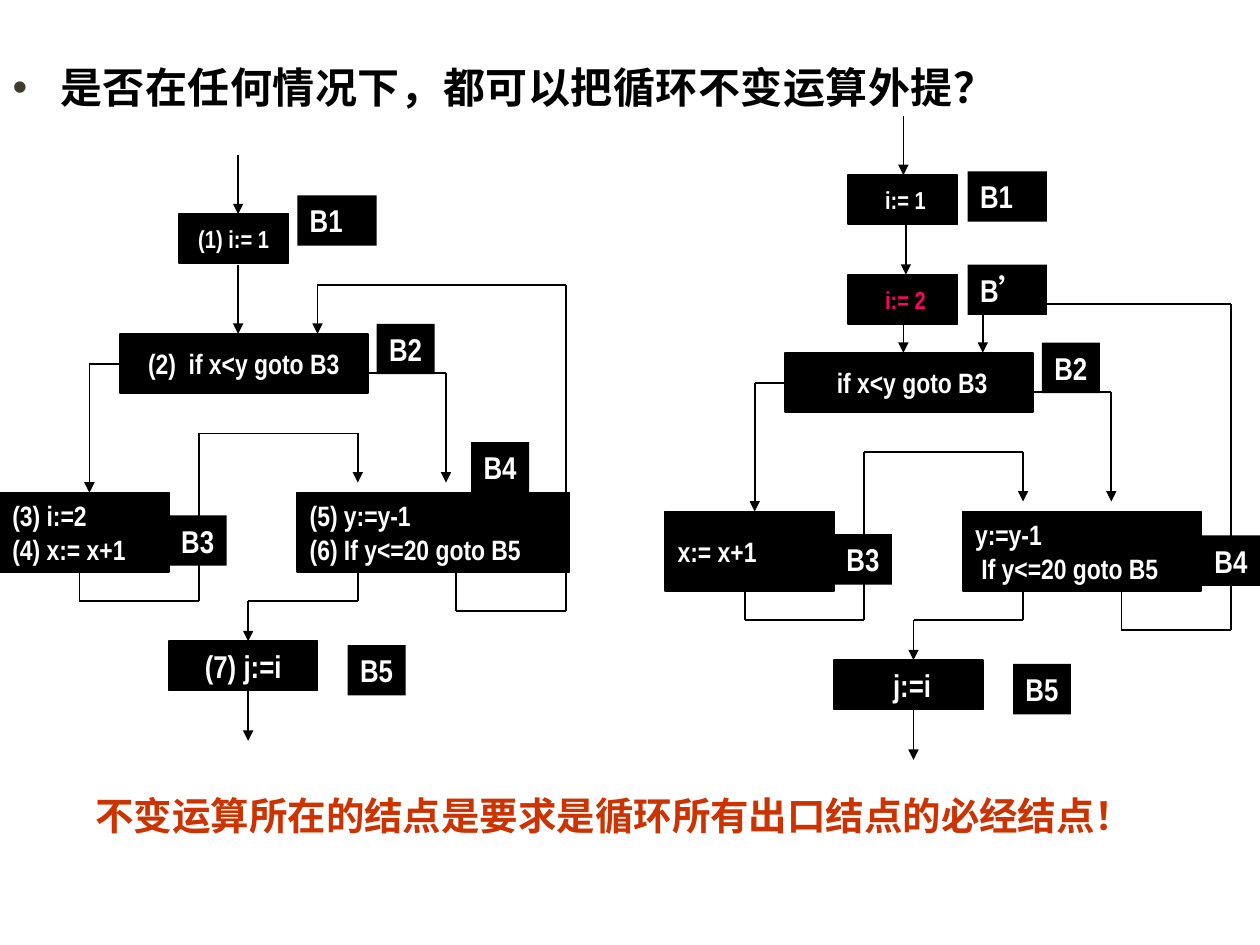
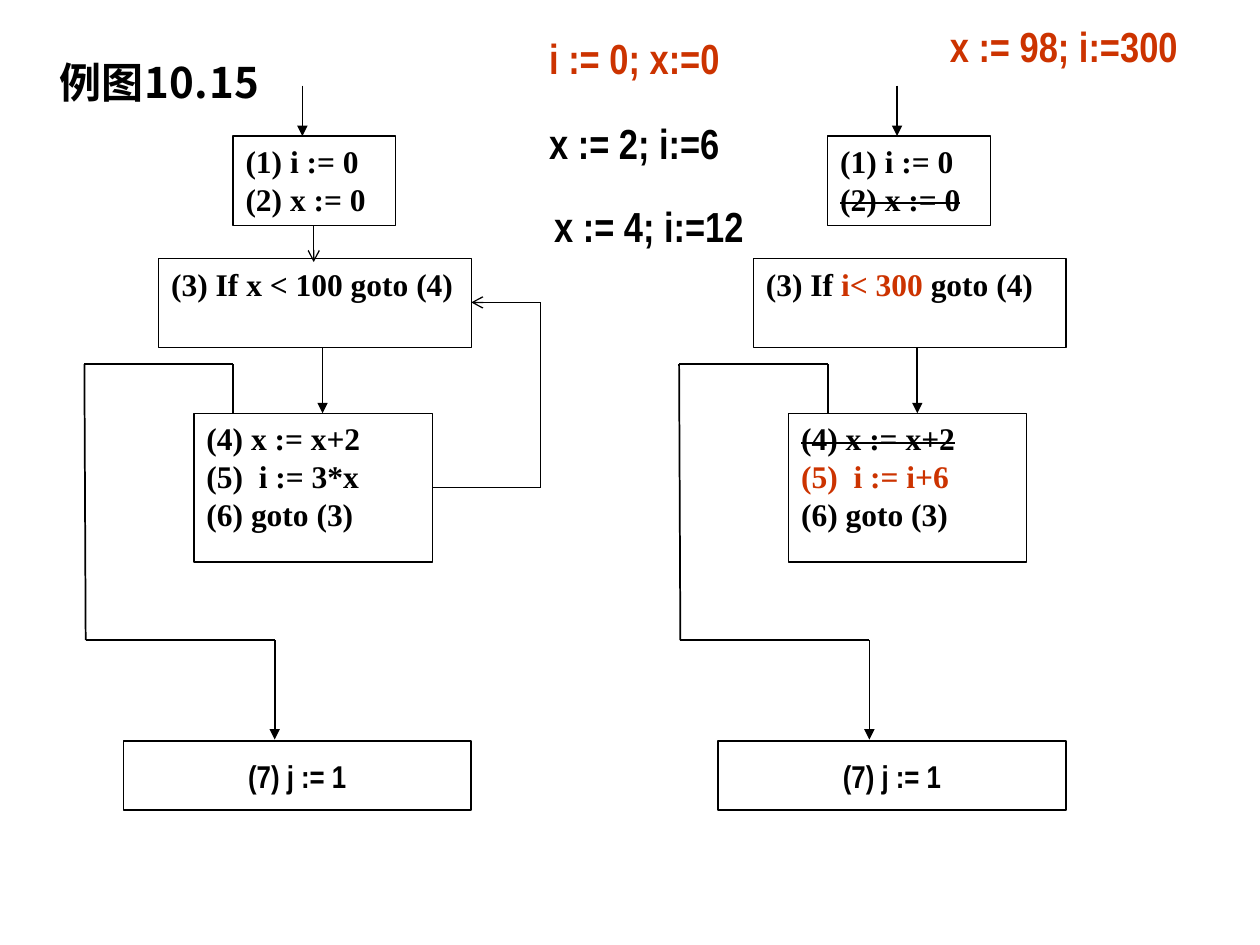
from dataclasses import dataclass
from itertools import pairwise
from typing import Optional

from lxml.etree import SubElement
from pptx import Presentation
from pptx.dml.color import RGBColor
from pptx.enum.shapes import MSO_CONNECTOR, MSO_SHAPE
from pptx.enum.text import MSO_ANCHOR, MSO_AUTO_SIZE, PP_ALIGN
from pptx.oxml.ns import qn
from pptx.util import Inches, Pt

BLACK = "000000"
WHITE = "FFFFFF"
RED = "CC3300"
PINK = "FF0066"
BULLET_COLOR = "3E3D2D"
NARROW = "Arial Narrow"
SERIF = "Times New Roman"
CHINESE = "Noto Sans CJK SC"
TITLE_ONLY = 5


@dataclass
class Span:
    text: str
    color: Optional[str] = None
    font: Optional[str] = None
    strike: bool = False


def rgb(color):
    return RGBColor.from_string(color)


def add_span(para, span):
    run = para.add_run()
    run.text = span.text
    if span.color:
        run.font.color.rgb = rgb(span.color)
    if span.font:
        run.font.name = span.font
    if span.strike:
        run._r.get_or_add_rPr().set("strike", "sngStrike")


def format_paragraph(para, size, color, font, align):
    para.alignment = align
    para.space_before = Pt(0)
    para.font.size = Pt(size)
    para.font.bold = True
    para.font.color.rgb = rgb(color)
    para.font.name = font
    defaults = para._p.pPr.find(qn("a:defRPr"))
    SubElement(defaults, qn("a:ea")).set("typeface", CHINESE)
    return defaults


def write_text(box, lines, size, color=BLACK, font=NARROW,
               align=PP_ALIGN.LEFT, anchor=MSO_ANCHOR.TOP, wrap=True):
    frame = box.text_frame
    frame.word_wrap = wrap
    frame.vertical_anchor = anchor
    for index, line in enumerate(lines):
        para = frame.add_paragraph() if index else frame.paragraphs[0]
        format_paragraph(para, size, color, font, align)
        for span in [Span(line)] if isinstance(line, str) else line:
            add_span(para, span)


def add_bullet(para):
    properties = para._p.get_or_add_pPr()
    properties.set("marL", str(Inches(0.38)))
    properties.set("indent", str(-Inches(0.38)))
    bullet_color = SubElement(properties, qn("a:buClr"))
    SubElement(bullet_color, qn("a:srgbClr")).set("val", BULLET_COLOR)
    SubElement(properties, qn("a:buFont")).set("typeface", "Arial")
    SubElement(properties, qn("a:buChar")).set("char", "•")


def place(shape, left, top, width, height):
    shape.left, shape.top = Inches(left), Inches(top)
    shape.width, shape.height = Inches(width), Inches(height)


def add_titled_page(deck, text, bounds, bulleted=False, line_spacing=1.0):
    page = deck.slides.add_slide(deck.slide_layouts[TITLE_ONLY])
    title = page.shapes.title
    place(title, *bounds)
    frame = title.text_frame
    frame.text = text
    frame.word_wrap = True
    frame.auto_size = MSO_AUTO_SIZE.NONE
    frame.vertical_anchor = MSO_ANCHOR.TOP
    para = frame.paragraphs[0]
    para.line_spacing = line_spacing
    if bulleted:
        add_bullet(para)
    defaults = format_paragraph(para, 24, BLACK, CHINESE, PP_ALIGN.LEFT)
    defaults.set("spc", "30")
    return page


def add_rectangle(page, bounds, fill, line=None, line_width=1.0):
    box = page.shapes.add_shape(MSO_SHAPE.RECTANGLE, *map(Inches, bounds))
    box.shadow.inherit = False
    if fill:
        box.fill.solid()
        box.fill.fore_color.rgb = rgb(fill)
    else:
        box.fill.background()
    if line:
        box.line.color.rgb = rgb(line)
        box.line.width = Pt(line_width)
    else:
        box.line.fill.background()
    return box


def add_dark_node(page, bounds, lines, size, color=WHITE, align=PP_ALIGN.CENTER):
    box = add_rectangle(page, bounds, BLACK, BLACK)
    write_text(box, lines, size, color, align=align,
               anchor=MSO_ANCHOR.MIDDLE, wrap=False)


def add_block_label(page, left, top, line, width=0.46):
    box = add_rectangle(page, (left, top, width, 0.4), BLACK)
    write_text(box, [line], 18, WHITE, wrap=width > 0.5)


def add_code_node(page, bounds, lines):
    box = add_rectangle(page, bounds, WHITE, BLACK, 0.75)
    write_text(box, lines, 18, font=SERIF, align=PP_ALIGN.JUSTIFY)


def add_note(page, bounds, line, size, color):
    box = page.shapes.add_textbox(*map(Inches, bounds))
    write_text(box, [line], size, color)


def add_route(page, points, head="triangle", width=1.0, shift=(0, 0)):
    corners = [(Inches(x + shift[0]), Inches(y + shift[1])) for x, y in points]
    for start, end in pairwise(corners):
        line = page.shapes.add_connector(MSO_CONNECTOR.STRAIGHT, *start, *end)
        line.line.color.rgb = rgb(BLACK)
        line.line.width = Pt(width)
        SubElement(line._element.spPr, qn("a:effectLst"))
    if head:
        SubElement(line.line._get_or_add_ln(), qn("a:tailEnd")).set("type", head)


def add_loop_graph(page, shift, entry, test, body, update, update_width, last):
    dx, dy = shift
    entry_left, entry_top, entry_text = entry
    add_dark_node(page, (entry_left, entry_top, 0.87, 0.39), [entry_text], 14)
    add_dark_node(page, (0.95 + dx, 2.65 + dy, 1.97, 0.47), [test], 16)
    add_dark_node(page, (dx, 3.91 + dy, 1.34, 0.63), body, 16, align=PP_ALIGN.LEFT)
    add_dark_node(page, (2.36 + dx, 3.91 + dy, update_width, 0.63), update, 16,
                  align=PP_ALIGN.LEFT)
    add_dark_node(page, (1.34 + dx, 5.09 + dy, 1.18, 0.39), [last], 18)

    add_route(page, [(1.89 + dx, entry_top - 0.47), (1.89 + dx, entry_top)])
    routes = [
        [(1.89, 2.1), (1.89, 2.65)],
        [(0.95, 2.89), (0.71, 2.89), (0.71, 3.91)],
        [(0.63, 4.54), (0.63, 4.77), (1.58, 4.77), (1.58, 3.44),
         (2.84, 3.44), (2.84, 3.83)],
        [(2.91, 2.96), (3.54, 2.96), (3.54, 3.83)],
        [(3.62, 4.54), (3.62, 4.85), (4.49, 4.85), (4.49, 2.26),
         (2.52, 2.26), (2.52, 2.65)],
        [(2.84, 4.54), (2.84, 4.77), (1.97, 4.77), (1.97, 5.09)],
        [(1.97, 5.48), (1.97, 5.88)],
    ]
    for route in routes:
        add_route(page, route, shift=shift)

    for left, top, name in [(2.99, 2.57, "B2"), (1.34, 4.09, "B3"), (2.76, 5.12, "B5")]:
        add_block_label(page, left + dx, top + dy, name)


def add_hoisting_page(deck):
    page = add_titled_page(deck, "是否在任何情况下，都可以把循环不变运算外提？",
                           (0, 0.44, 8.43, 0.71), bulleted=True)
    add_loop_graph(page, (0, 0), (1.42, 1.7, "(1) i:= 1"), "(2)  if x<y goto B3",
                   ["(3) i:=2", "(4) x:= x+1"],
                   ["(5) y:=y-1", "(6) If y<=20 goto B5"], 2.16, "(7) j:=i")
    add_block_label(page, 2.36, 1.55, "B1", 0.63)
    add_block_label(page, 3.74, 3.51, "B4")

    add_loop_graph(page, (5.28, 0.15), (6.73, 1.39, " i:= 1"), " if x<y goto B3",
                   ["x:= x+1"], ["y:=y-1", " If y<=20 goto B5"], 1.89, " j:=i")
    add_block_label(page, 7.68, 1.36, "B1", 0.63)
    add_block_label(page, 9.54, 4.25, "B4")
    add_dark_node(page, (6.73, 2.18, 0.87, 0.39), [" i:= 2"], 14, PINK)
    add_route(page, [(7.19, 1.78), (7.19, 2.18)])
    add_block_label(page, 7.68, 2.1, [Span("B"), Span("’", font=CHINESE)], 0.63)

    add_note(page, (0.66, 6.24, 9.01, 0.47),
             "不变运算所在的结点是要求是循环所有出口结点的必经结点！", 22, RED)


def add_reduction_graph(page, dx, start, test, body):
    add_code_node(page, (1.85 + dx, 1.08, 1.29, 0.71), start)
    add_code_node(page, (1.54 + dx, 3.28, 1.89, 1.18), body)
    last = add_rectangle(page, (0.98 + dx, 5.88, 2.76, 0.55), None, BLACK)
    write_text(last, ["(7) j := 1"], 18, align=PP_ALIGN.CENTER,
               anchor=MSO_ANCHOR.MIDDLE, wrap=False)
    routes = [
        [(2.4, 0.68), (2.4, 1.08)],
        [(2.56, 2.5), (2.56, 3.28)],
        [(1.85, 3.28), (1.85, 2.89), (0.67, 2.89), (0.68, 5.08),
         (2.18, 5.08), (2.18, 5.87)],
    ]
    for route in routes:
        add_route(page, route, shift=(dx, 0))
    add_code_node(page, (1.26 + dx, 2.05, 2.48, 0.71), [test])


def add_reduction_page(deck):
    page = add_titled_page(deck, "例图10.15", (0.37, 0.36, 8.82, 0.64),
                           line_spacing=1.1)
    add_reduction_graph(page, 0, ["(1) i := 0", "(2) x := 0"],
                        "(3) If x < 100 goto (4)",
                        ["(4) x := x+2", "(5)  i := 3*x", "(6) goto (3)"])
    for route in [[(2.49, 1.79), (2.49, 2.08)],
                  [(3.43, 3.87), (4.29, 3.87), (4.29, 2.4), (3.74, 2.4)]]:
        add_route(page, route, "arrow", 0.75)

    add_reduction_graph(page, 4.72,
                        ["(1) i := 0", [Span("(2) x := 0", strike=True)]],
                        [Span("(3) If "), Span("i< 300 ", RED), Span("goto (4)")],
                        [[Span("(4) x := x+2", strike=True)],
                         [Span("(5)  i := i+6", RED)], "(6) goto (3)"])

    trace = [
        (4.26, 0.21, 1.58, "i := 0; x:=0", RED),
        (4.26, 0.88, 2, "x := 2; i:=6", BLACK),
        (4.3, 1.54, 2, "x := 4; i:=12", BLACK),
        (7.44, 0.11, 2.16, "x := 98; i:=300", RED),
    ]
    for left, top, width, values, color in trace:
        add_note(page, (left, top, width, 0.5), values, 24, color)


def main():
    deck = Presentation()
    deck.slide_width = Inches(10)
    deck.slide_height = Inches(7.5)
    add_hoisting_page(deck)
    add_reduction_page(deck)
    deck.save("out.pptx")


if __name__ == "__main__":
    main()
